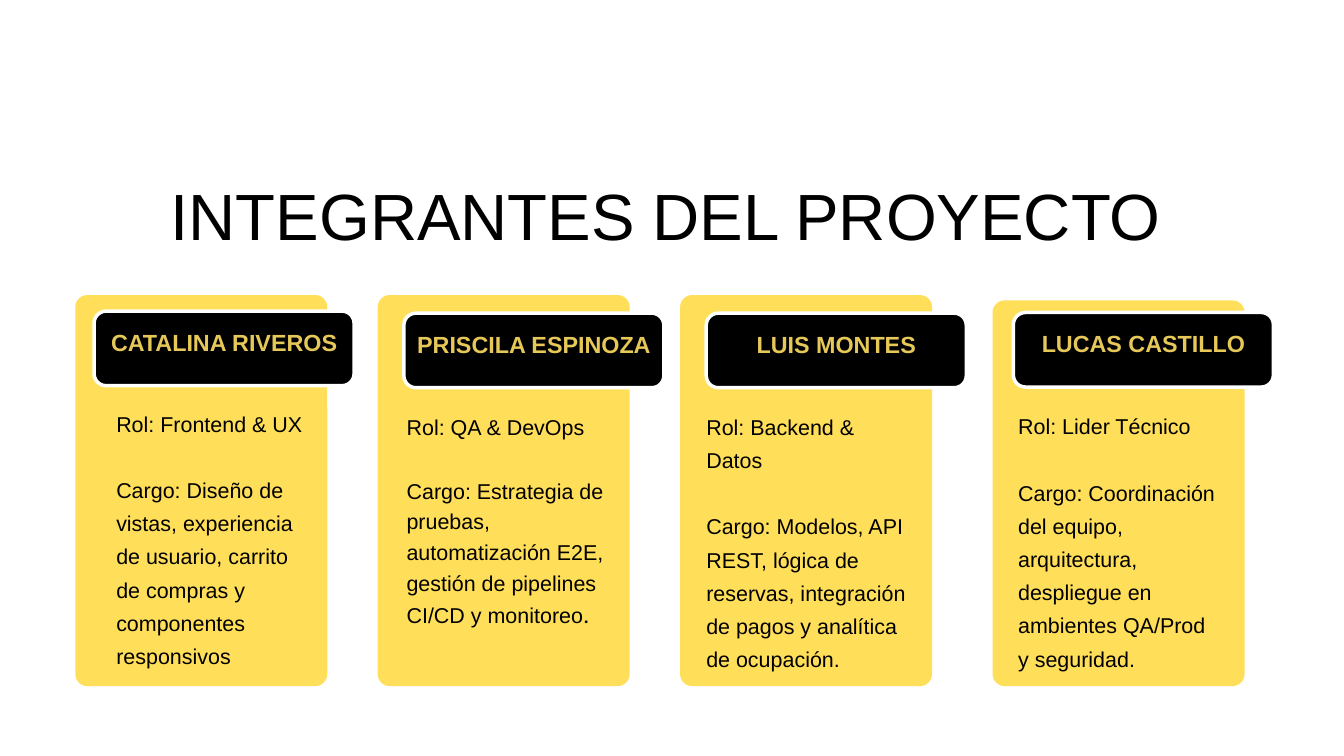
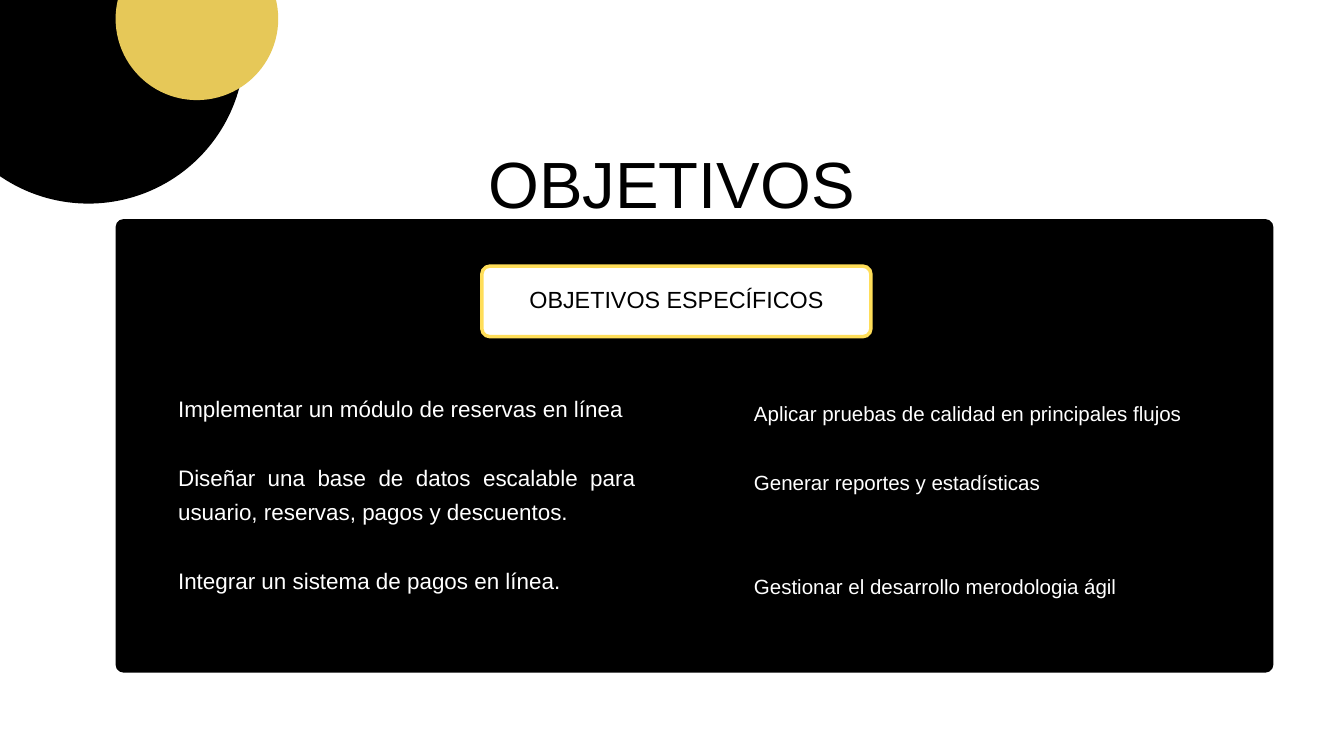
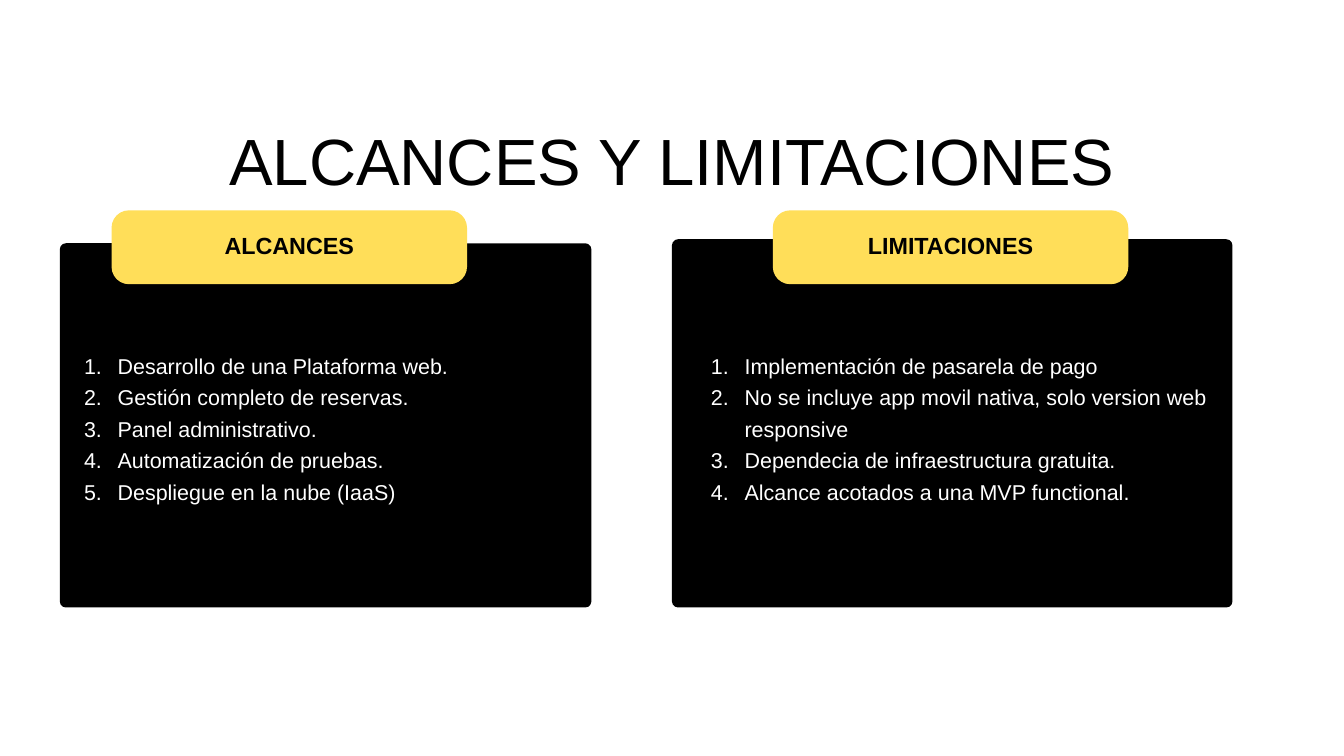
from pptx import Presentation
from pptx.dml.color import RGBColor
from pptx.enum.shapes import MSO_SHAPE as Shape
from pptx.enum.text import MSO_ANCHOR as Anchor, MSO_AUTO_SIZE as AutoSize, PP_ALIGN as Align
from pptx.oxml.ns import qn
from pptx.util import Inches, Pt
from lxml.etree import SubElement

BLACK, WHITE, YELLOW, GOLD = "000000", "FFFFFF", "FFDE59", "E6C858"
FONT = "Arial"
CARD_RADIUS = 0.18
NAME_SIZE = (3.87, 1.11)
SCOPE_LABEL_SIZE = (5.29, 1.1)


def color(value):
    return RGBColor.from_string(value)


def apply(target, values):
    for name, value in values.items():
        setattr(target, name, value)


def set_frame(shape, insets=(0, 0, 0, 0), anchor=Anchor.TOP):
    names = ("margin_left", "margin_top", "margin_right", "margin_bottom")
    values = {name: Inches(inset) for name, inset in zip(names, insets)}
    values.update(word_wrap=True, auto_size=AutoSize.NONE, vertical_anchor=anchor)
    apply(shape.text_frame, values)


def add_run(paragraph, text, size, ink=BLACK, bold=False, name=FONT):
    run = paragraph.add_run()
    run.text = text
    apply(run.font, {"name": name, "size": Pt(size), "bold": bold})
    run.font.color.rgb = color(ink)


def indent(paragraph, left, first=0):
    properties = paragraph._p.get_or_add_pPr()
    properties.set("marL", str(Inches(left)))
    properties.set("indent", str(Inches(first)))
    return properties


def number(paragraph):
    properties = indent(paragraph, 0.5, -0.5)
    fill = SubElement(properties, qn("a:buClr"))
    SubElement(fill, qn("a:srgbClr"), val=WHITE)
    SubElement(properties, qn("a:buFont"), typeface=FONT)
    SubElement(properties, qn("a:buAutoNum"), type="arabicPeriod")


def write(shape, lines, size, spacing, gaps=None, align=Align.LEFT, prepare=None, **font):
    frame = shape.text_frame
    for index, line in enumerate(lines):
        paragraph = frame.add_paragraph() if index else frame.paragraphs[0]
        if prepare:
            prepare(paragraph)
        gap = gaps[index] if gaps else 0
        apply(paragraph, {"alignment": align, "line_spacing": spacing, "space_before": Pt(gap)})
        add_run(paragraph, line, size, **font)
    return frame


def add_text(slide, box, *args, **options):
    shape = slide.shapes.add_textbox(*map(Inches, box))
    set_frame(shape)
    return write(shape, *args, **options)


def add_block(slide, kind, box, fill, line=None, radius=None):
    shape = slide.shapes.add_shape(kind, *map(Inches, box))
    shape.shadow.inherit = False
    shape.fill.solid()
    shape.fill.fore_color.rgb = color(fill)
    if line:
        shape.line.color.rgb = color(line)
        shape.line.width = Pt(3.75)
    else:
        shape.line.fill.background()
    if radius is not None:
        shape.adjustments[0] = radius / min(box[2:])
    return shape


def add_panel(slide, box, fill, radius, line=None):
    return add_block(slide, Shape.ROUNDED_RECTANGLE, box, fill, line, radius)


def add_label(slide, box, text, fill, radius, spacing, inset, lift, line=None, **font):
    label = add_panel(slide, box, fill, radius, line)
    set_frame(label, (inset, inset, inset, inset + lift), Anchor.MIDDLE)
    write(label, [text], 25, spacing, align=Align.CENTER, **font)


def add_titled_slide(presentation, title, box, spacing):
    slide = presentation.slides.add_slide(presentation.slide_layouts[5])
    placeholder = slide.shapes.title
    left, top, width, height = map(Inches, box)
    apply(placeholder, {"left": left, "top": top, "width": width, "height": height})
    set_frame(placeholder)
    write(placeholder, [title], 70, spacing, align=Align.CENTER)
    return slide


def add_member(slide, box, name, name_at, text_at, role, duty, duty_spacing=1.29, ending=None):
    left, top, width, height = box
    add_panel(slide, box, YELLOW, CARD_RADIUS)
    name_box = (left + name_at[0], top + name_at[1], *NAME_SIZE)
    add_label(slide, name_box, name, BLACK, CARD_RADIUS, 1.01, 0.05, 0.19,
              line=WHITE, ink=GOLD, bold=True)
    text_box = (left + text_at[0], top + text_at[1], 2.98, height - text_at[1])
    frame = add_text(slide, text_box, [role, duty], 23, 1.29, gaps=(0, 35.5))
    last = frame.paragraphs[-1]
    last.line_spacing = duty_spacing
    if ending:
        add_run(last, ending, 25, name="Calibri")


def add_scope(slide, box, heading, label_at, list_at, list_width, items):
    left, top = box[:2]
    add_panel(slide, box, BLACK, 0.09)
    label_box = (left + label_at[0], top + label_at[1], *SCOPE_LABEL_SIZE)
    add_label(slide, label_box, heading, YELLOW, 0.26, 1.23, 0.06, 0.15, bold=True)
    list_box = (left + list_at[0], top + list_at[1], list_width, 2.31)
    add_text(slide, list_box, items, 23, 1.22, prepare=number, ink=WHITE)


def build_members(presentation):
    slide = add_titled_slide(presentation, "INTEGRANTES DEL PROYECTO",
                             (1.12, 2.24, 17.58, 1.16), 1.31)
    add_member(slide, (1.12, 4.39, 3.75, 5.82), "CATALINA RIVEROS", (0.28, 0.24), (0.61, 1.61),
               "Rol: Frontend & UX",
               "Cargo: Diseño de vistas, experiencia de usuario, carrito de compras "
               "y componentes responsivos")
    add_member(slide, (5.62, 4.39, 3.75, 5.82), "PRISCILA ESPINOZA", (0.39, 0.27), (0.43, 1.66),
               "Rol: QA & DevOps",
               "Cargo: Estrategia de pruebas, automatización E2E, gestión de pipelines "
               "CI/CD y monitoreo", 1.19, ".")
    add_member(slide, (10.12, 4.39, 3.75, 5.82), "LUIS MONTES", (0.39, 0.27), (0.39, 1.66),
               "Rol: Backend & Datos",
               "Cargo: Modelos, API REST, lógica de reservas, integración de pagos "
               "y analítica de ocupación.")
    add_member(slide, (14.77, 4.47, 3.75, 5.74), "LUCAS CASTILLO", (0.31, 0.18), (0.38, 1.57),
               "Rol: Lider Técnico",
               "Cargo: Coordinación del equipo, arquitectura, despliegue en ambientes "
               "QA/Prod y seguridad.")


def add_goals(slide, panel):
    left, top = panel[:2]
    add_panel(slide, panel, BLACK, 0.12)
    add_label(slide, (left + 5.45, top + 0.7, 5.79, 1.05), "OBJETIVOS ESPECÍFICOS",
              WHITE, 0.12, 1.23, 0.06, 0.16, line=YELLOW)
    options = {"align": Align.JUSTIFY, "ink": WHITE,
               "prepare": lambda paragraph: indent(paragraph, 0.52)}
    add_text(slide, (left + 0.41, top + 2.51, 7.32, 2.61),
             ["Implementar un módulo de reservas en línea",
              "Diseñar una base de datos escalable para usuario, reservas, pagos y descuentos.",
              "Integrar un sistema de pagos en línea."],
             24, 1.28, gaps=(0, 36.8, 36.8), **options)
    add_text(slide, (left + 8.98, top + 2.56, 7.32, 2.49),
             ["Aplicar pruebas de calidad en principales flujos",
              "Generar reportes y estadísticas",
              "Gestionar el desarrollo merodologia ágil"],
             22, 1.4, gaps=(0, 37, 74), **options)


def build_goals(presentation):
    slide = add_titled_slide(presentation, "OBJETIVOS", (2.81, 1.19, 14.37, 1.58), 1.8)
    add_block(slide, Shape.OVAL, (-1.01, -1.62, 4.65, 4.65), BLACK)
    add_block(slide, Shape.OVAL, (1.72, -0.93, 2.42, 2.42), GOLD)
    add_goals(slide, (1.72, 3.26, 17.23, 6.75))


def build_scope(presentation):
    slide = add_titled_slide(presentation, "ALCANCES Y LIMITACIONES",
                             (2.81, 0.85, 14.38, 1.18), 1.8)
    add_scope(slide, (0.89, 3.62, 7.91, 5.42), "ALCANCES", (0.77, -0.49), (0.36, 1.55), 7.22,
              ["Desarrollo de una Plataforma web.",
               "Gestión completo de reservas.",
               "Panel administrativo.",
               "Automatización de pruebas.",
               "Despliegue en la nube (IaaS)"])
    add_scope(slide, (10, 3.56, 8.34, 5.48), "LIMITACIONES", (1.5, -0.43), (0.58, 1.61), 7.42,
              ["Implementación de pasarela de pago",
               "No se incluye app movil nativa, solo version web responsive",
               "Dependecia de infraestructura gratuita.",
               "Alcance acotados a una MVP functional."])


def main():
    presentation = Presentation()
    apply(presentation, {"slide_width": Inches(20), "slide_height": Inches(11.25)})
    for build in (build_members, build_goals, build_scope):
        build(presentation)
    presentation.save("out.pptx")


if __name__ == "__main__":
    main()
